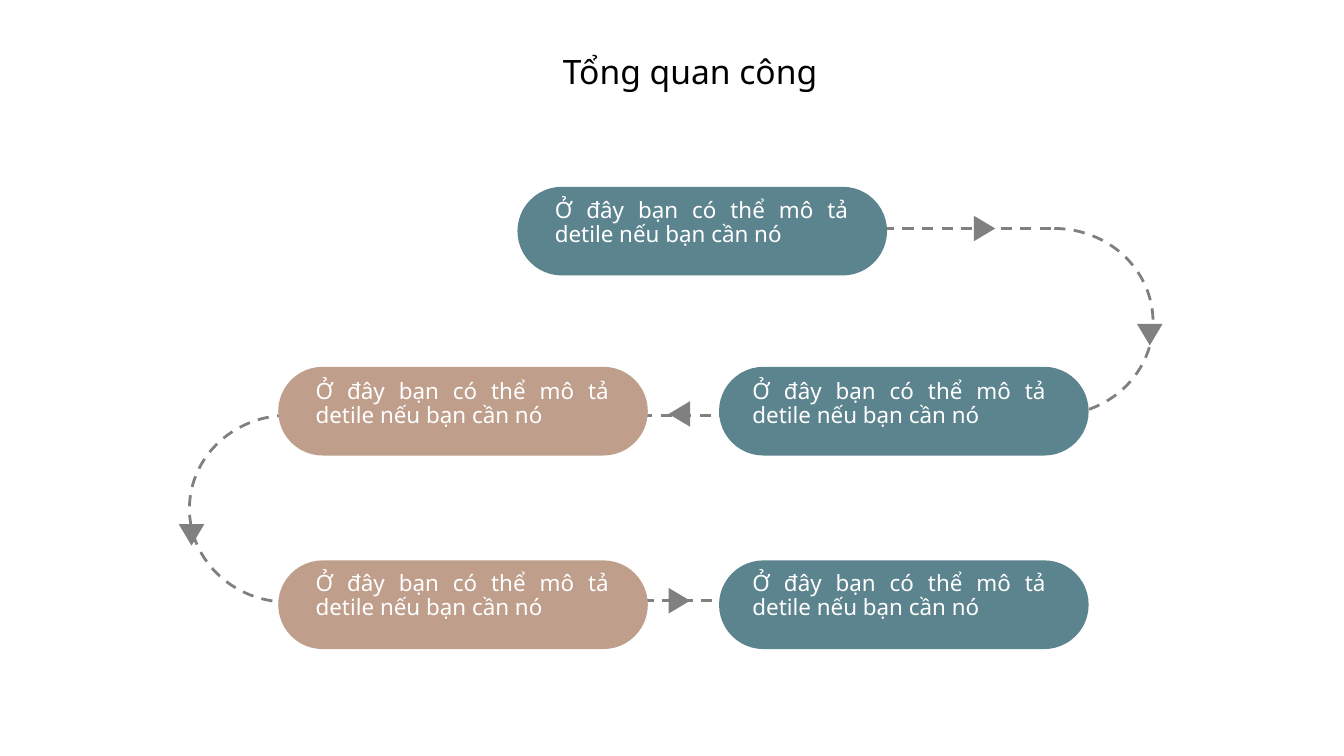
import pptx
import pptx.util
import pptx.dml.color
import pptx.enum.dml
import pptx.enum.shapes
import pptx.enum.text
from lxml import etree
from pptx.util import Inches

THEME = {
    "font": "Noto Sans", "title_size": 18, "body_size": 12, "line_width": 1.5,
    "black": "000000", "white": "FFFFFF", "gray": "808080",
    "teal": "5C848E", "tan": "BF9F8B",
}
SHAPES = pptx.enum.shapes.MSO_SHAPE
SLIDE_WIDTH = 10
SLIDE_HEIGHT = SLIDE_WIDTH * 9 / 16

TITLE = "Tổng quan công"
STEP_TEXT = "Ở đây bạn có thể mô tả detile nếu bạn cần nó"

# Pill left, pill top, colour, text offset from the pill's left and top
STEPS = [
    (3.85, 1.39, "teal", 0.18, 0.04),
    (2.07, 2.73, "tan", 0.18, 0.05),
    (2.07, 4.17, "tan", 0.18, 0.04),
    (5.35, 2.73, "teal", 0.15, 0.05),
    (5.35, 4.17, "teal", 0.15, 0.04),
]
PILL_SIZE = (2.75, 0.66)
TEXT_SIZE = (2.38, 0.5)

TRACKS = [(6.13, 7.84, 1.7), (2.14, 7.84, 3.09), (2.15, 5.46, 4.47)]  # start, end, y
BENDS = [(7.11, 1.7, False), (1.41, 3.09, True)]  # left, top, mirrored
BEND_SIZE = (1.47, 1.39)
BEND_ANGLES = (162, 54.68)

ARROWS = [  # left, top, rotation
    (7.23, 1.62, 90), (4.96, 3, 270), (4.96, 4.39, 90),
    (8.46, 2.41, 180), (1.33, 3.9, 180),
]
ARROW_SIZE = (0.19, 0.16)


def color(name):
    return pptx.dml.color.RGBColor.from_string(THEME[name])


def style_dashes(line):
    line.color.rgb = color("gray")
    line.width = pptx.util.Pt(THEME["line_width"])
    line.dash_style = pptx.enum.dml.MSO_LINE.DASH


def add_preset(shapes, preset, left, top, size, fill=None):
    """Add a shadowless shape, filled without outline or left hollow."""
    shape = shapes.add_shape(preset, *map(Inches, (left, top, *size)))
    shape.shadow.inherit = False
    if fill:
        shape.fill.solid()
        shape.fill.fore_color.rgb = color(fill)
        shape.line.fill.background()
    else:
        shape.fill.background()
    return shape


def add_track(shapes, start, end, y):
    track = shapes.add_connector(
        pptx.enum.shapes.MSO_CONNECTOR.STRAIGHT,
        Inches(start), Inches(y), Inches(end), Inches(y))
    style_dashes(track.line)
    etree.SubElement(track.element.spPr, pptx.oxml.ns.qn("a:effectLst"))


def add_bend(shapes, left, top, mirrored):
    bend = add_preset(shapes, SHAPES.ARC, left, top, BEND_SIZE)
    for index, angle in enumerate(BEND_ANGLES):
        bend.adjustments[index] = angle
    style_dashes(bend.line)
    if mirrored:
        bend.element.spPr.xfrm.set("flipH", "1")


def write(paragraph, text, size, color_name):
    run = paragraph.add_run()
    run.text = text
    run.font.name = THEME["font"]
    run.font.size = pptx.util.Pt(THEME[size])
    run.font.color.rgb = color(color_name)


def add_title(slide):
    title = slide.shapes.title
    title.left, title.top, title.width, title.height = map(
        Inches, (4.08, 0.33, 2.11, 0.4))
    title.text_frame.word_wrap = False
    write(title.text_frame.paragraphs[0], TITLE, "title_size", "black")


def add_step_text(slide, left, top):
    box = slide.shapes.add_textbox(*map(Inches, (left, top, *TEXT_SIZE)))
    box.text_frame.word_wrap = True
    paragraph = box.text_frame.paragraphs[0]
    paragraph.alignment = pptx.enum.text.PP_ALIGN.JUSTIFY
    paragraph.line_spacing = 0.9
    write(paragraph, STEP_TEXT, "body_size", "white")


def main():
    presentation = pptx.Presentation()
    presentation.slide_width = Inches(SLIDE_WIDTH)
    presentation.slide_height = Inches(SLIDE_HEIGHT)
    slide = presentation.slides.add_slide(presentation.slide_layouts[5])
    add_title(slide)

    diagram = slide.shapes.add_group_shape().shapes
    for track in TRACKS:
        add_track(diagram, *track)
    for bend in BENDS:
        add_bend(diagram, *bend)
    for left, top, rotation in ARROWS:
        arrow = add_preset(
            diagram, SHAPES.ISOSCELES_TRIANGLE, left, top, ARROW_SIZE, "gray")
        arrow.rotation = rotation
    for left, top, fill, _, _ in STEPS:
        pill = add_preset(
            diagram, SHAPES.ROUNDED_RECTANGLE, left, top, PILL_SIZE, fill)
        pill.adjustments[0] = 0.5

    for left, top, _, shift_x, shift_y in STEPS:
        add_step_text(slide, left + shift_x, top + shift_y)
    presentation.save("out.pptx")


if __name__ == "__main__":
    main()
